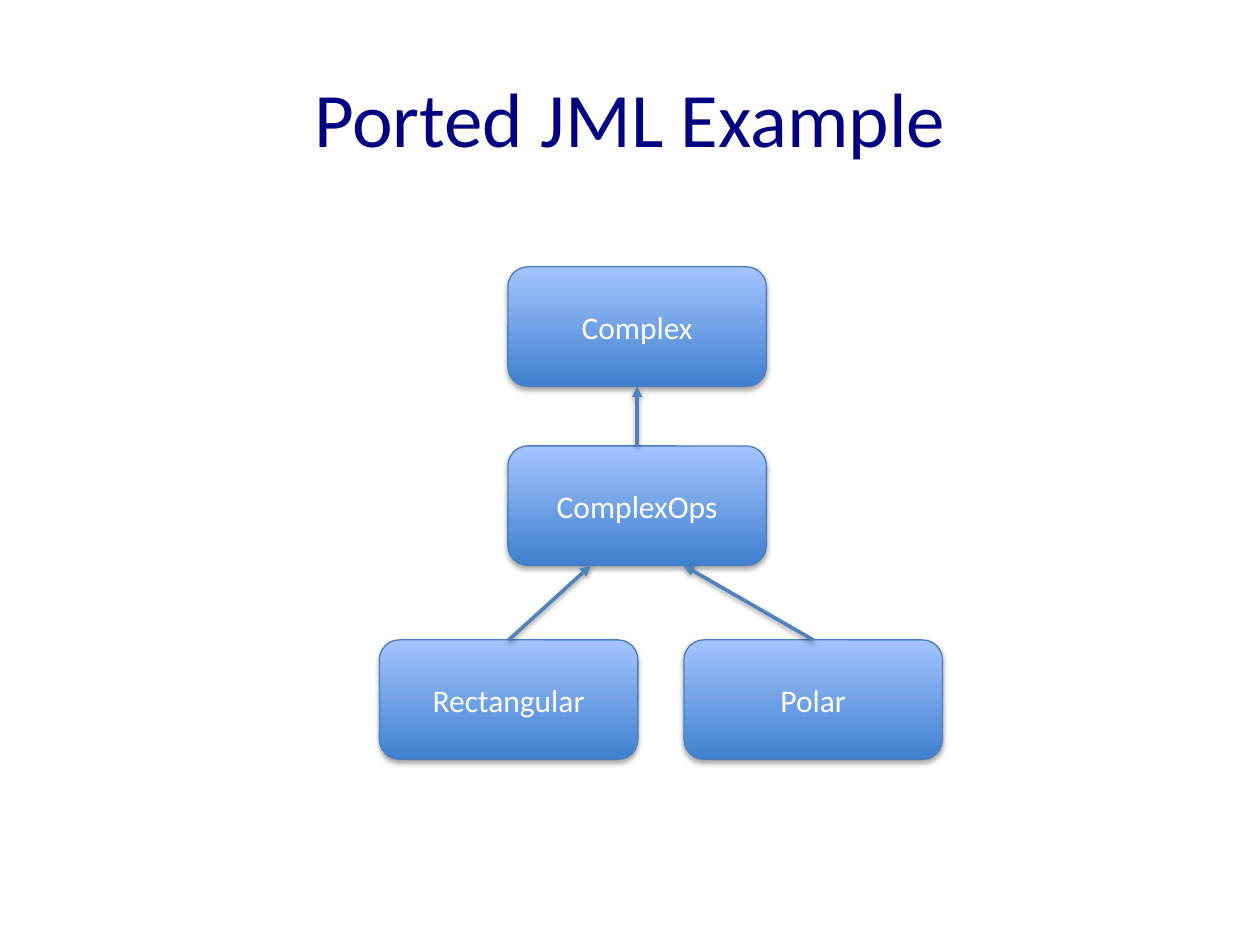
from pptx import Presentation
from pptx.dml.color import RGBColor
from pptx.enum.shapes import MSO_CONNECTOR, MSO_SHAPE
from pptx.enum.text import MSO_ANCHOR, PP_ALIGN
from pptx.oxml.ns import qn
from pptx.util import Cm, Pt
from lxml.etree import SubElement


def rgb(value):
    return RGBColor.from_string(value)


class Diagram:
    """Draws a class hierarchy on one slide in a single style."""
    font = "Calibri"
    box_w, box_h = 5.21, 2.41
    gradient = ((0, "3F80CE"), (1, "A4C4FF"))

    def __init__(self, prs):
        self.s = prs.slides.add_slide(prs.slide_layouts[5])

    def text(self, sp, text, size, color):
        tf = sp.text_frame
        for name, value in {"word_wrap": True, "vertical_anchor": MSO_ANCHOR.MIDDLE}.items():
            setattr(tf, name, value)
        p = tf.paragraphs[0]
        p.alignment = PP_ALIGN.CENTER
        r = p.add_run()
        r.text = text
        for name, value in {"name": self.font, "size": Pt(size)}.items():
            setattr(r.font, name, value)
        r.font.color.rgb = rgb(color)

    def shadow(self, effects, dist, alpha):
        outer = SubElement(effects, qn("a:outerShdw"), blurRad=str(Pt(3.1)),
                           dist=str(Pt(dist)), dir="5400000", rotWithShape="0")
        color = SubElement(outer, qn("a:srgbClr"), val="000000")
        SubElement(color, qn("a:alpha"), val=str(alpha * 1000))

    def line(self, sp, color, width):
        sp.line.color.rgb = rgb(color)
        sp.line.width = Pt(width)

    def title(self, text, x, y, w, h):
        sp = self.s.shapes.title
        for name, value in {"left": x, "top": y, "width": w, "height": h}.items():
            setattr(sp, name, Cm(value))
        self.text(sp, text, 44, "000080")

    def box(self, text, x, y):
        sp = self.s.shapes.add_shape(MSO_SHAPE.ROUNDED_RECTANGLE, Cm(x), Cm(y),
                                     Cm(self.box_w), Cm(self.box_h))
        sp.fill.gradient()
        sp.fill.gradient_angle = 90
        for stop, (position, color) in zip(sp.fill.gradient_stops, self.gradient):
            stop.position = position
            stop.color.rgb = rgb(color)
        self.line(sp, "4B7EBC", 0.75)
        sp.shadow.inherit = False
        self.shadow(sp._element.spPr.find(qn("a:effectLst")), 1.8, 35)
        self.text(sp, text, 18, "FFFFFF")
        return sp

    def arrow(self, child, parent, share):
        """Point from the child's top to a share of the parent's bottom edge."""
        cxn = self.s.shapes.add_connector(
            MSO_CONNECTOR.STRAIGHT, child.left + child.width // 2, child.top,
            parent.left + int(parent.width * share), parent.top + parent.height)
        self.line(cxn, "4F81BD", 2)
        spPr = cxn._element.spPr
        SubElement(spPr.find(qn("a:ln")), qn("a:tailEnd"), type="triangle")
        self.shadow(SubElement(spPr, qn("a:effectLst")), 1.6, 38)


prs = Presentation()
prs.slide_width, prs.slide_height = Cm(25.4), Cm(19.05)
d = Diagram(prs)
d.title("Ported JML Example", 1.27, 0.76, 22.86, 3.18)

places = {"Complex": (10.24, 5.38), "ComplexOps": (10.24, 8.99),
          "Rectangular": (7.65, 12.9), "Polar": (13.79, 12.9)}
boxes = {name: d.box(name, x, y) for name, (x, y) in places.items()}

for child, parent, share in (("ComplexOps", "Complex", 0.5),
                             ("Rectangular", "ComplexOps", 0.32),
                             ("Polar", "ComplexOps", 0.68)):
    d.arrow(boxes[child], boxes[parent], share)

prs.save("out.pptx")
